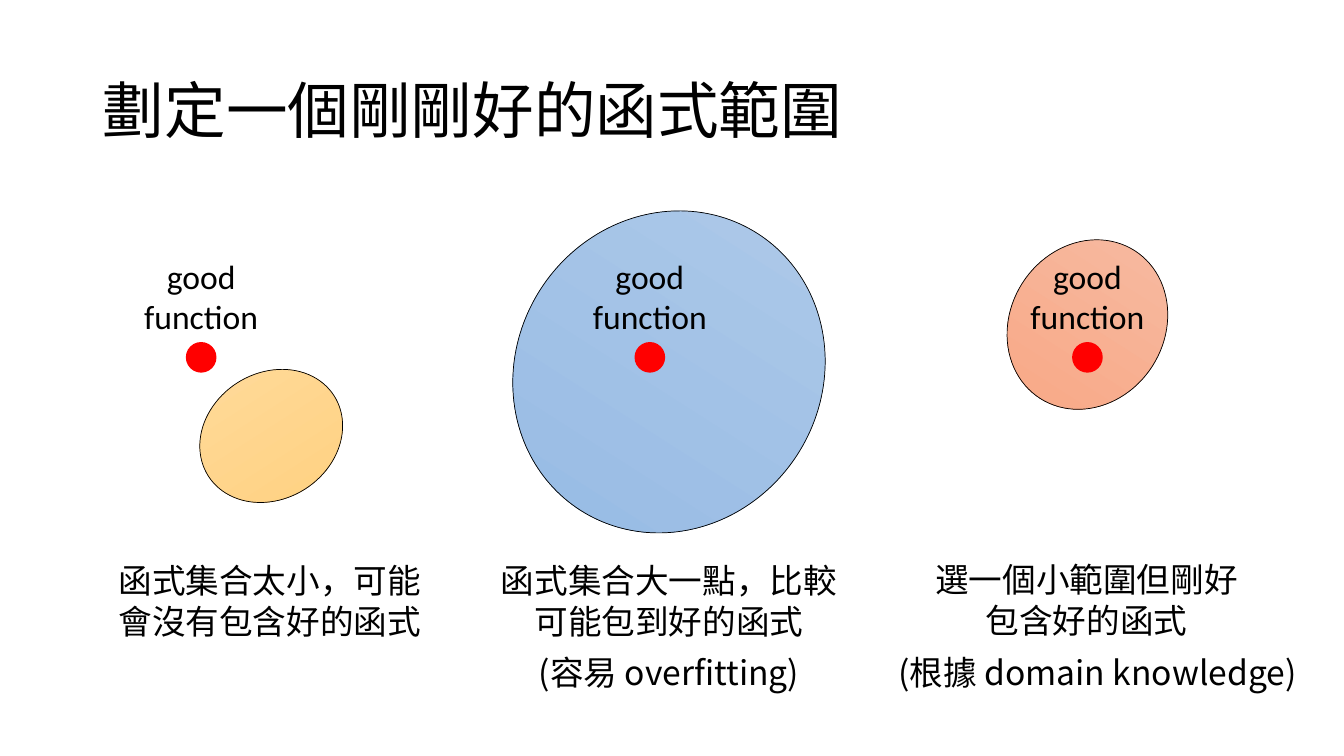
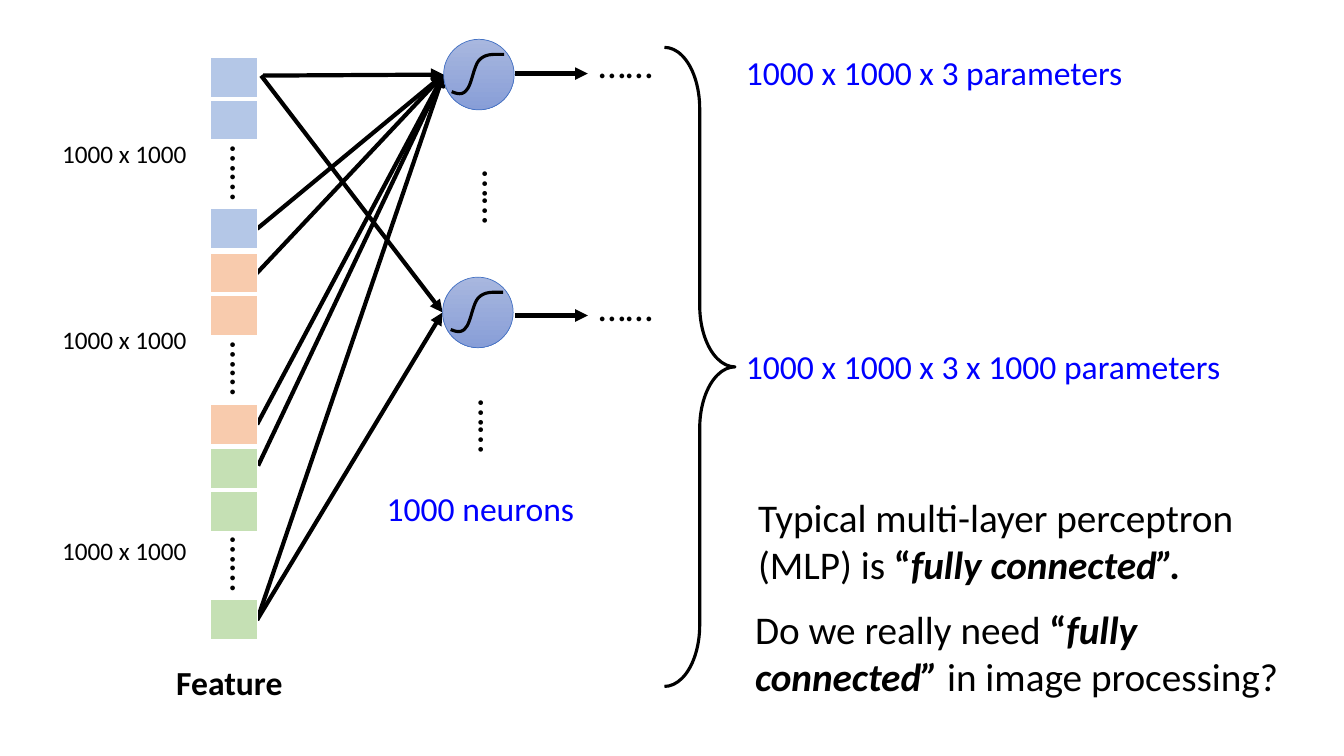
import lxml.etree
import pptx
import pptx.dml.color
import pptx.enum.shapes
import pptx.enum.text
import pptx.oxml.ns
import pptx.util

Inches = pptx.util.Inches
Pt = pptx.util.Pt
SHAPE = pptx.enum.shapes.MSO_SHAPE
ALIGN = pptx.enum.text.PP_ALIGN
qn = pptx.oxml.ns.qn

BLACK, WHITE, RED, BLUE = "000000", "FFFFFF", "FF0000", "0000FF"
LATIN, HAN = "Calibri", "Noto Sans CJK SC"
SIDES = {"l": ALIGN.LEFT, "c": ALIGN.CENTER, "r": ALIGN.RIGHT}


def color(code):
    return pptx.dml.color.RGBColor.from_string(code)


def place(*nums):
    return [Inches(num) for num in nums]


def bezier(start, curves, steps=12):
    """Return points along a chain of cubic curves."""
    points = [start]
    for curve in curves:
        ends = (points[-1], *curve)
        for step in range(1, steps + 1):
            t = step / steps
            parts = ((1 - t) ** 3, 3 * t * (1 - t) ** 2,
                     3 * t * t * (1 - t), t ** 3)
            points.append(tuple(
                sum(part * end[axis] for part, end in zip(parts, ends))
                for axis in (0, 1)))
    return points


class Deck:
    """Holds the shared style and the slide being drawn."""

    def __init__(self):
        self.file = pptx.Presentation()
        self.file.slide_width, self.file.slide_height = place(13.33, 7.5)
        self.slide = None

    def start(self, title=None):
        layout = self.file.slide_layouts[5 if title else 6]
        self.slide = self.file.slides.add_slide(layout)
        if title:
            head = self.slide.shapes.title
            head.left, head.top, head.width, head.height = place(
                0.92, 0.4, 11.5, 1.45)
            head.text_frame.vertical_anchor = pptx.enum.text.MSO_ANCHOR.MIDDLE
            self.letter(head, title, 44, HAN, side="l")
            head.text_frame.paragraphs[0].line_spacing = 0.9

    def letter(self, shape, text, size, face=LATIN, ink=BLACK, side="l",
               bold=False):
        """Fill a shape with a string or with (text, bold, italic) runs."""
        shape.text_frame.word_wrap = True
        para = shape.text_frame.paragraphs[0]
        para.alignment = SIDES[side]
        font = para.font
        font.name, font.size, font.bold = face, Pt(size), bold
        font.color.rgb = color(ink)
        latin = para._p.find(".//" + qn("a:latin"))
        east = lxml.etree.Element(qn("a:ea"), typeface=face)
        latin.addnext(east)
        if isinstance(text, str):
            para.add_run().text = text
            return
        for words, strong, slant in text:
            run = para.add_run()
            run.text = words
            if strong:
                run.font.bold = True
            if slant:
                run.font.italic = True

    def text(self, box, words, size=24, turn=0, **style):
        shape = self.slide.shapes.add_textbox(*place(*box))
        shape.rotation = turn
        self.letter(shape, words, size, **style)

    def shape(self, kind, box, fill=None, line=BLACK, width=0.5, turn=0):
        """Draw a preset; two fill colours make a gradient from the top."""
        shape = self.slide.shapes.add_shape(kind, *place(*box))
        shape.rotation = turn
        self.paint(shape, line, width)
        if fill is None:
            shape.fill.background()
        elif isinstance(fill, str):
            shape.fill.solid()
            shape.fill.fore_color.rgb = color(fill)
        else:
            shape.fill.gradient()
            shape.fill.gradient_angle = 270
            for spot, (stop, code) in enumerate(
                    zip(shape.fill.gradient_stops, fill)):
                stop.position = spot
                stop.color.rgb = color(code)
        return shape

    def paint(self, shape, line, width):
        shape.shadow.inherit = False
        shape.line.color.rgb = color(line)
        shape.line.width = Pt(width)

    def arrow(self, start, end):
        line = self.slide.shapes.add_connector(
            pptx.enum.shapes.MSO_CONNECTOR.STRAIGHT, *place(*start, *end))
        line.line.color.rgb = color(BLACK)
        line.line.width = Pt(3)
        props = line.element.spPr
        lxml.etree.SubElement(props.find(qn("a:ln")), qn("a:tailEnd"),
                              type="triangle")
        lxml.etree.SubElement(props, qn("a:effectLst"))

    def curve(self, points):
        first, *rest = [place(*point) for point in points]
        outline = self.slide.shapes.build_freeform(*first)
        outline.add_line_segments(rest, close=False)
        shape = outline.convert_to_shape()
        self.paint(shape, BLACK, 2.25)
        shape.fill.background()
        return shape

    def neuron(self, left, top):
        disc = self.shape(SHAPE.OVAL, (left, top, 0.7, 0.7),
                          ("A8B7DF", "889ED7"), "4472C4")
        points = bezier((0.6, 0.15), [
            ((0.51, 0.15), (0.42, 0.14), (0.36, 0.2)),
            ((0.3, 0.25), (0.28, 0.45), (0.23, 0.5)),
            ((0.19, 0.56), (0.13, 0.54), (0.08, 0.52))])
        wave = self.curve([(left + x, top + y) for x, y in points])
        self.slide.shapes.add_group_shape([disc, wave])

    def cells(self, left, top, rows, fill):
        wide, high = 0.46, 0.41
        table = self.slide.shapes.add_table(
            rows, 1, *place(left, top, wide, high * rows)).table
        table.first_row = table.horz_banding = False
        for row in range(rows):
            cell = table.cell(row, 0)
            props = cell._tc.get_or_add_tcPr()
            for edge in "LRTB":
                width = 3 if edge == "B" and row == 0 else 1
                line = lxml.etree.SubElement(
                    props, qn("a:ln" + edge), w=str(Pt(width)))
                paint = lxml.etree.SubElement(line, qn("a:solidFill"))
                lxml.etree.SubElement(paint, qn("a:srgbClr"), val=WHITE)
            cell.fill.solid()
            cell.fill.fore_color.rgb = color(fill)


def draw_range(deck):
    deck.start("劃定一個剛剛好的函式範圍")
    for box, fill, turn in (
            ((10.02, 2.35, 1.53, 1.74), ("F7BDA5", "F8A582"), 32.6),
            ((5.12, 2.06, 3.03, 3.26), ("B1CBE9", "93B9E4"), 32.6),
            ((1.95, 3.7, 1.48, 1.25), ("FFDB9E", "FFD07C"), 327.4)):
        deck.shape(SHAPE.OVAL, box, fill, turn=turn)
    for mid in (2, 6.45, 10.79):
        deck.shape(SHAPE.OVAL, (mid - 0.15, 3.4, 0.29, 0.29), RED, RED, 1)
        deck.text((mid - 0.77, 2.49, 1.53, 0.91), "good function", side="c")
    for box, words in (
            ((0.92, 5.51, 3.51, 0.91), "函式集合太小，可能會沒有包含好的函式"),
            ((4.72, 5.51, 3.83, 0.91), "函式集合大一點，比較可能包到好的函式"),
            ((4.72, 6.42, 3.83, 0.5), "(容易 overfitting)"),
            ((9.08, 5.5, 3.39, 0.91), "選一個小範圍但剛好包含好的函式"),
            ((8.73, 6.42, 4.31, 0.5), "(根據 domain knowledge)")):
        deck.text(box, words, face=HAN, side="c")


def draw_layer(deck):
    deck.start()
    upper, lower = (4.4, 0.74), (4.39, 3.1)
    for start in ((2.61, 0.75), (2.55, 2.27), (2.51, 2.75),
                  (2.55, 4.21), (2.56, 4.62), (2.55, 6.15)):
        deck.arrow(start, upper)
    for start in ((2.59, 0.75), (2.55, 6.15)):
        deck.arrow(start, lower)

    for (left, mid), out, dots in ((upper, 0.73, 0.34), (lower, 3.13, 2.75)):
        deck.neuron(left, mid - 0.35)
        deck.arrow((5.11, out), (5.83, out))
        deck.text((5.6, dots, 1.21, 0.57), "……", 28, side="c")
    for left, top in ((4.07, 1.67), (4.03, 3.95)):
        deck.text((left, top, 1.21, 0.57), "……", 28, turn=270, side="c")

    for index, (fill, label) in enumerate((
            ("B4C7E7", 1.32), ("F8CBAD", 3.17), ("C5E0B4", 5.26))):
        top = 0.57 + 1.94 * index
        deck.cells(2.09, top, 2, fill)
        deck.cells(2.09, top + 1.5, 1, fill)
        deck.text((2.03, top + 0.9, 0.82, 0.57), "…...", 28, turn=90)
        deck.text((0.38, label, 1.57, 0.4), "1000 x 1000", 18, side="r")

    deck.text((1.54, 6.52, 1.47, 0.5), "Feature", side="c", bold=True)
    deck.text((3.62, 4.79, 2.29, 0.5), "1000 neurons", ink=BLUE, side="c")
    brace = deck.shape(SHAPE.RIGHT_BRACE, (6.59, 0.47, 0.7, 6.34), width=2.25)
    brace.adjustments[0] = 0.87
    for top, words in ((0.47, "1000 x 1000 x 3 parameters"),
                       (3.38, "1000 x 1000 x 3 x 1000 parameters")):
        deck.text((7.3, top, 5, 0.5), words, ink=BLUE)
    deck.text((7.42, 4.84, 5.47, 1.04), [
        ("Typical multi-layer perceptron (MLP) is ", False, False),
        ("“", True, False), ("fully connected”.", True, True)], 28)
    deck.text((7.39, 5.96, 5.47, 1.04), [
        ("Do we really need ", False, False),
        ("“", True, False), ("fully connected” ", True, True),
        ("in image processing?", False, False)], 28)


def main():
    deck = Deck()
    draw_range(deck)
    draw_layer(deck)
    deck.file.save("out.pptx")


if __name__ == "__main__":
    main()
